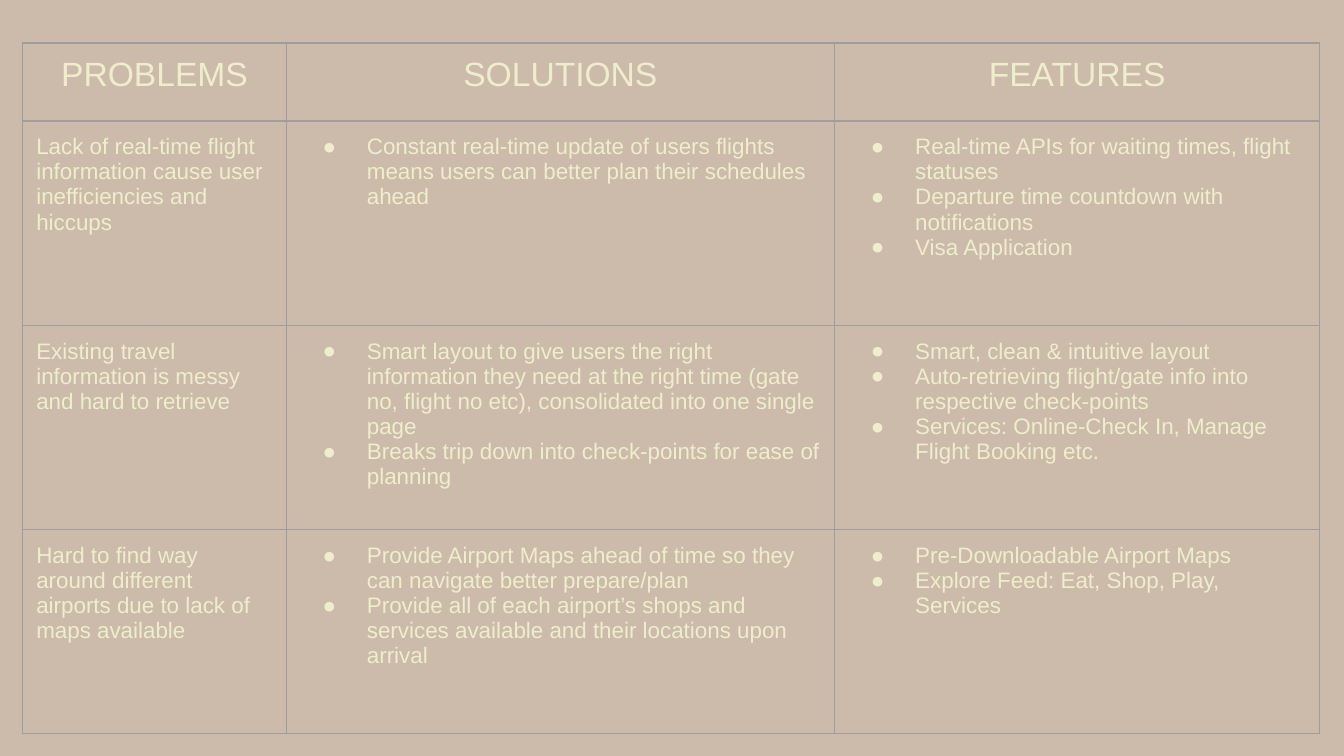
from pptx import Presentation
from pptx.dml.color import RGBColor
from pptx.enum.text import PP_ALIGN as Align
from pptx.oxml import parse_xml
from pptx.oxml.ns import nsdecls
from pptx.util import Inches, Pt

SAND = RGBColor(0xCC, 0xBB, 0xAA)
CREAM = RGBColor(0xEE, 0xEE, 0xCC)
GREY = RGBColor(0x9E, 0x9E, 0x9E)

COLUMNS = [1.96, 4.08, 3.61]
HEADER_HEIGHT, BODY_HEIGHT = 0.58, 1.52
INSET = Inches(0.1)

HEADERS = ["PROBLEMS", "SOLUTIONS", "FEATURES"]
BODY = [
    [
        ["Lack of real-time flight information cause user inefficiencies and hiccups"],
        ["Constant real-time update of users flights means users can better plan their schedules ahead"],
        ["Real-time APIs for waiting times, flight statuses",
         "Departure time countdown with notifications",
         "Visa Application"],
    ],
    [
        ["Existing travel information is messy and hard to retrieve"],
        ["Smart layout to give users the right information they need at the right time "
         "(gate no, flight no etc), consolidated into one single page",
         "Breaks trip down into check-points for ease of planning"],
        ["Smart, clean & intuitive layout",
         "Auto-retrieving flight/gate info into respective check-points",
         "Services: Online-Check In, Manage Flight Booking etc."],
    ],
    [
        ["Hard to find way around different airports due to lack of maps available"],
        ["Provide Airport Maps ahead of time so they can navigate better prepare/plan",
         "Provide all of each airport’s shops and services available and their locations upon arrival"],
        ["Pre-Downloadable Airport Maps",
         "Explore Feed: Eat, Shop, Play, Services"],
    ],
]
ROWS = [[[header] for header in HEADERS]] + BODY


def add_borders(cell):
    properties = cell._tc.get_or_add_tcPr()
    for position, side in enumerate(["lnL", "lnR", "lnT", "lnB"]):
        border = parse_xml(
            f'<a:{side} {nsdecls("a")} w="{Pt(0.75)}"><a:solidFill>'
            f'<a:srgbClr val="{GREY}"/></a:solidFill></a:{side}>')
        properties.insert(position, border)


def add_bullet(paragraph):
    properties = paragraph._p.get_or_add_pPr()
    properties.set("marL", str(Inches(0.5)))
    properties.set("indent", str(Inches(-0.33)))
    for element in [
        f'<a:buClr {nsdecls("a")}><a:srgbClr val="{CREAM}"/></a:buClr>',
        f'<a:buFont {nsdecls("a")} typeface="Arial"/>',
        f'<a:buChar {nsdecls("a")} char="●"/>',
    ]:
        properties.append(parse_xml(element))


# Widescreen slide and background
presentation = Presentation()
presentation.slide_width = Inches(10)
presentation.slide_height = presentation.slide_width * 9 // 16
slide = presentation.slides.add_slide(presentation.slide_layouts[6])
slide.background.fill.solid()
slide.background.fill.fore_color.rgb = SAND

# Table grid
heights = [HEADER_HEIGHT] + [BODY_HEIGHT] * len(BODY)
table = slide.shapes.add_table(
    len(heights), len(COLUMNS), Inches(0.17), Inches(0.32),
    Inches(sum(COLUMNS)), Inches(sum(heights))).table
table.first_row = False
table.horz_banding = False
for column, width in zip(table.columns, COLUMNS):
    column.width = Inches(width)
for row, height in zip(table.rows, heights):
    row.height = Inches(height)

# Cell contents: centred headers, plain problems, bulleted solutions and features
for row_index, row_texts in enumerate(ROWS):
    for column_index, texts in enumerate(row_texts):
        cell = table.cell(row_index, column_index)
        cell.fill.background()
        cell.margin_left = cell.margin_right = INSET
        cell.margin_top = cell.margin_bottom = INSET
        add_borders(cell)
        is_header = row_index == 0
        for text_index, text in enumerate(texts):
            frame = cell.text_frame
            paragraph = frame.add_paragraph() if text_index else frame.paragraphs[0]
            if is_header:
                paragraph.alignment = Align.CENTER
            elif column_index > 0:
                add_bullet(paragraph)
            run = paragraph.add_run()
            run.text = text
            run.font.name = "Arial"
            run.font.size = Pt(18 if is_header else 12)
            run.font.color.rgb = CREAM

presentation.save("out.pptx")
